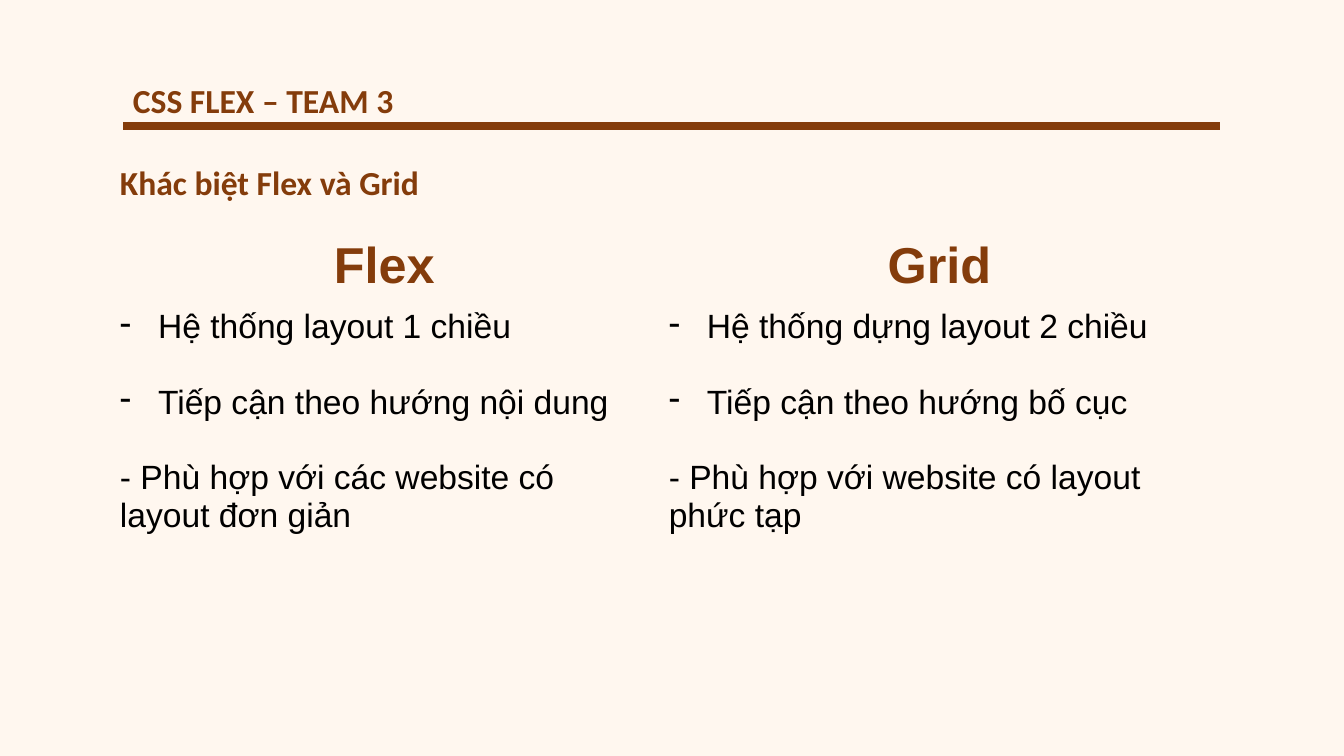
from pptx import Presentation
from pptx.dml.color import RGBColor
from pptx.enum.shapes import MSO_CONNECTOR
from pptx.enum.text import MSO_ANCHOR, MSO_AUTO_SIZE, PP_ALIGN
from pptx.oxml.ns import qn
from pptx.util import Cm, Pt
from lxml.etree import SubElement

CREAM = RGBColor(0xFF, 0xF7, 0xEF)
BROWN = RGBColor(0x84, 0x3C, 0x0B)
BLACK = RGBColor(0, 0, 0)
NO_STYLE_NO_GRID = "{2D5ABB26-0587-4C30-8999-92F81FD0307C}"

COLUMNS = [
    ("Flex", 13.83, [
        "Hệ thống layout 1 chiều",
        "Tiếp cận theo hướng nội dung",
        "- Phù hợp với các website có layout đơn giản",
    ]),
    ("Grid", 14.15, [
        "Hệ thống dựng layout 2 chiều",
        "Tiếp cận theo hướng bố cục",
        "- Phù hợp với website có layout phức tạp",
    ]),
]


def format_text(para, font_name, size, color, bold):
    for span in para.runs:
        span.font.name = font_name
        span.font.size = Pt(size)
        span.font.color.rgb = color
        span.font.bold = bold


def add_dash(para):
    properties = para._p.get_or_add_pPr()
    properties.set("marL", str(Cm(0.96)))
    properties.set("indent", str(Cm(-0.96)))
    SubElement(properties, qn("a:buFontTx"))
    SubElement(properties, qn("a:buChar")).set("char", "-")


deck = Presentation()
deck.slide_width, deck.slide_height = Cm(33.87), Cm(19.05)
page = deck.slides.add_slide(deck.slide_layouts[5])
page.background.fill.solid()
page.background.fill.fore_color.rgb = CREAM

rule = page.shapes.add_connector(MSO_CONNECTOR.STRAIGHT, Cm(3.1), Cm(3.17), Cm(30.75), Cm(3.17))
rule.line.color.rgb = BROWN
rule.line.width = Pt(5.5)
SubElement(rule.element.spPr, qn("a:effectLst"))

header = page.shapes.add_textbox(Cm(3.1), Cm(1.88), Cm(7.14), Cm(1.28))
title = page.shapes.title
title.left, title.top, title.width, title.height = Cm(2.77), Cm(3.94), Cm(8.13), Cm(1.28)
for box, wording in [(header, "CSS FLEX – TEAM 3"), (title, "Khác biệt Flex và Grid")]:
    frame = box.text_frame
    frame.text = wording
    frame.word_wrap = False
    frame.auto_size = MSO_AUTO_SIZE.SHAPE_TO_FIT_TEXT
    frame.vertical_anchor = MSO_ANCHOR.TOP
    frame.paragraphs[0].alignment = PP_ALIGN.LEFT
    format_text(frame.paragraphs[0], "Calibri", 24, BROWN, True)

comparison = page.shapes.add_table(2, 2, Cm(2.77), Cm(5.87), Cm(27.98), Cm(8.37))
comparison.element.find(".//" + qn("a:tableStyleId")).text = NO_STYLE_NO_GRID
table = comparison.table
table.horz_banding = False
table.rows[0].height, table.rows[1].height = Cm(1.72), Cm(6.65)

for column, (heading, width, points) in enumerate(COLUMNS):
    table.columns[column].width = Cm(width)
    heading_cell, points_cell = table.cell(0, column), table.cell(1, column)
    for cell in (heading_cell, points_cell):
        cell.fill.background()

    heading_cell.text_frame.text = heading
    heading_para = heading_cell.text_frame.paragraphs[0]
    heading_para.alignment = PP_ALIGN.CENTER
    format_text(heading_para, "Arial", 36, BROWN, True)

    points_cell.text_frame.text = "\n".join(points)
    paras = points_cell.text_frame.paragraphs
    for para in paras:
        format_text(para, "Arial", 24, BLACK, False)
    for para in paras[:-1]:
        para.space_after = Pt(27)
        add_dash(para)

deck.save("out.pptx")
